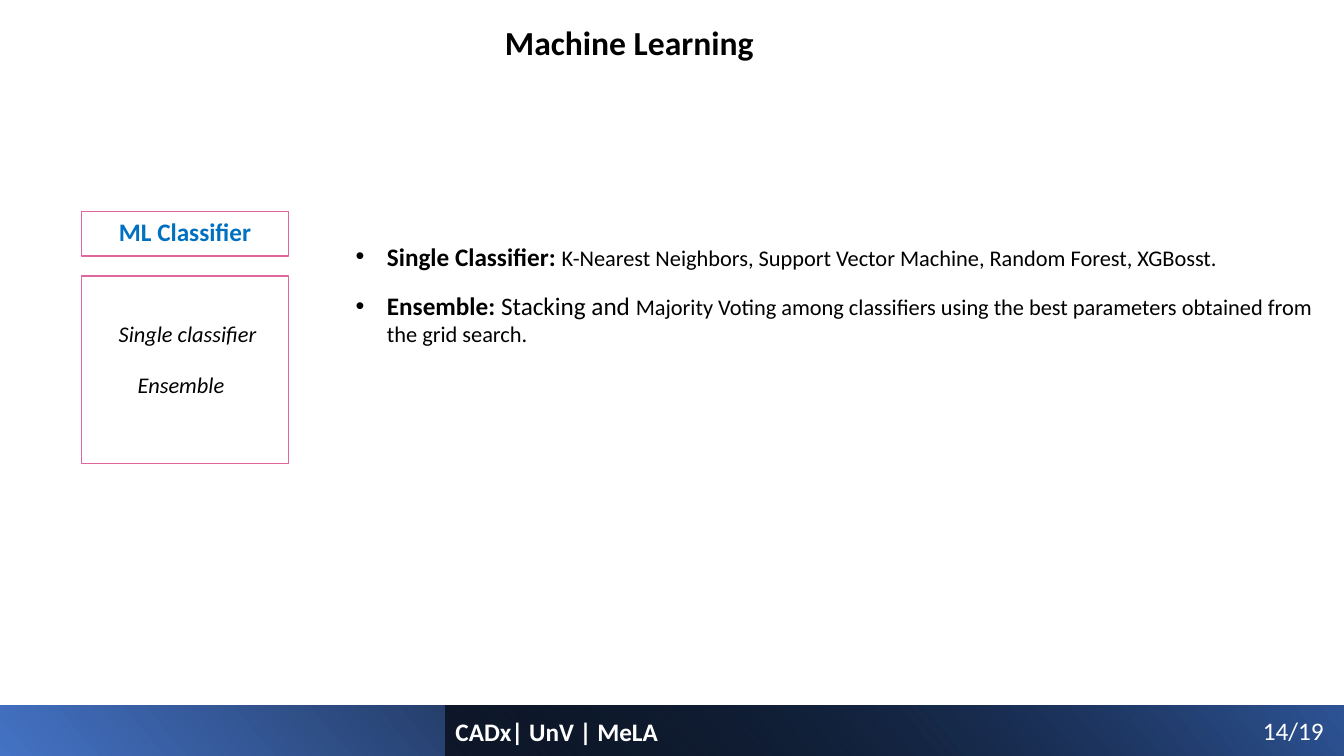
"""Build the Machine Learning classifier slide."""
from lxml.etree import SubElement
from pptx import Presentation
from pptx.dml.color import RGBColor
from pptx.enum.shapes import MSO_SHAPE as Shape
from pptx.enum.text import MSO_AUTO_SIZE as AutoSize, PP_ALIGN as Align
from pptx.oxml.ns import qn
from pptx.util import Inches, Pt

SLIDE_WIDTH, SLIDE_HEIGHT = Inches(13.33), Inches(7.5)
COLUMN, ROW = SLIDE_WIDTH / 100, SLIDE_HEIGHT / 100
BLACK, WHITE, BLUE, PINK = "000000", "FFFFFF", "0070C0", "E066A0"
FOOTER_TOP, FOOTER_SPLIT = 93.33, 33.15
PANEL_LEFT, PANEL_WIDTH = 6.08, 15.38
BULLET_LEFT = 25.73


def color(hex_text):
    """Turn a hex string into a colour."""
    return RGBColor.from_string(hex_text)


def place(left, top, width, height):
    """Convert columns and rows of the grid into slide lengths."""
    return [round(value * unit) for value, unit in
            zip((left, top, width, height), (COLUMN, ROW, COLUMN, ROW))]


def add_rectangle(slide, *box):
    """Add a shadowless rectangle at a grid box."""
    shape = slide.shapes.add_shape(Shape.RECTANGLE, *place(*box))
    shape.shadow.inherit = False
    return shape


def add_footer_bar(slide, left, start, end, end_position=1, start_alpha=None):
    """Add a gradient bar from a column to the right edge of the slide."""
    bar = add_rectangle(slide, left, FOOTER_TOP, 100 - left, 100 - FOOTER_TOP)
    bar.line.fill.background()
    bar.fill.gradient()
    bar.fill.gradient_angle = 40
    stops = bar.fill.gradient_stops
    for stop, position, shade in zip(stops, (0, end_position), (start, end)):
        stop.position = position
        stop.color.rgb = color(shade)
    if start_alpha is not None:
        first_color = next(bar.fill._xPr.iter(qn("a:srgbClr")))
        SubElement(first_color, qn("a:alpha"), val=str(start_alpha * 1000))


def add_frame(slide, top, height):
    """Add an unfilled outlined frame of the classifier panel."""
    frame = add_rectangle(slide, PANEL_LEFT, top, PANEL_WIDTH, height)
    frame.fill.background()
    frame.line.color.rgb = color(PINK)
    frame.line.width = Pt(1)


def add_run(paragraph, text, size=18, shade=BLACK, bold=False, italic=False):
    """Append formatted text to a paragraph."""
    run = paragraph.add_run()
    run.text = text
    font = run.font
    font.name, font.size = "Calibri", Pt(size)
    font.bold, font.italic = bold, italic
    font.color.rgb = color(shade)


def add_text_box(slide, box, wrap=False, align=Align.LEFT):
    """Add an empty text box and return its first paragraph."""
    frame = slide.shapes.add_textbox(*place(*box)).text_frame
    frame.word_wrap = wrap
    frame.auto_size = AutoSize.SHAPE_TO_FIT_TEXT
    paragraph = frame.paragraphs[0]
    paragraph.alignment = align
    return paragraph


def add_label(slide, text, box, align=Align.LEFT, **text_format):
    """Add a one-line text box."""
    add_run(add_text_box(slide, box, align=align), text, **text_format)


def add_bullet(slide, top, height, runs):
    """Add a bulleted paragraph made of text and format pairs."""
    box = (BULLET_LEFT, top, 100 - BULLET_LEFT, height)
    paragraph = add_text_box(slide, box, wrap=True)
    properties = paragraph._p.get_or_add_pPr()
    properties.set("marL", str(Inches(0.31)))
    properties.set("indent", str(-Inches(0.31)))
    SubElement(properties, qn("a:buFont"), typeface="Arial")
    SubElement(properties, qn("a:buChar"), char="•")
    for text, text_format in runs:
        add_run(paragraph, text, **text_format)


def main():
    """Create the slide and save it."""
    presentation = Presentation()
    presentation.slide_width, presentation.slide_height = SLIDE_WIDTH, SLIDE_HEIGHT
    slide = presentation.slides.add_slide(presentation.slide_layouts[6])

    add_footer_bar(slide, 0, "4472C4", BLACK, end_position=0.78)
    add_footer_bar(slide, FOOTER_SPLIT, BLACK, "2F5597", start_alpha=63)
    add_label(slide, "Machine Learning", (36.83, 2.27, 20.18, 6.67),
              size=24, bold=True)

    add_frame(slide, 28, 5.87)
    add_label(slide, "ML Classifier", (PANEL_LEFT, 28, PANEL_WIDTH, 5.33),
              align=Align.CENTER, shade=BLUE, bold=True)
    add_frame(slide, 36.53, 24.8)
    for text, box in (("Single classifier", (8.03, 41.73, 11.85, 4.93)),
                      ("Ensemble", (9.45, 48.4, 8.03, 4.93))):
        add_label(slide, text, box, align=Align.CENTER, size=16, italic=True)

    add_bullet(slide, 31.2, 5.33, [
        ("Single Classifier: ", {"bold": True}),
        ("K-Nearest Neighbors, Support Vector Machine, Random Forest, XGBosst.",
         {"size": 16})])
    add_bullet(slide, 37.73, 12.53, [
        ("Ensemble: ", {"bold": True}),
        ("Stacking and ", {}),
        ("Majority Voting among classifiers using the best parameters "
         "obtained from the grid search.", {"size": 16})])

    add_label(slide, "14/19", (93.23, 94, 6.08, 5.33), shade=WHITE)
    add_label(slide, "CADx| UnV | MeLA", (FOOTER_SPLIT, 94.13, 20, 5.33),
              shade=WHITE, bold=True)
    presentation.save("out.pptx")


if __name__ == "__main__":
    main()
